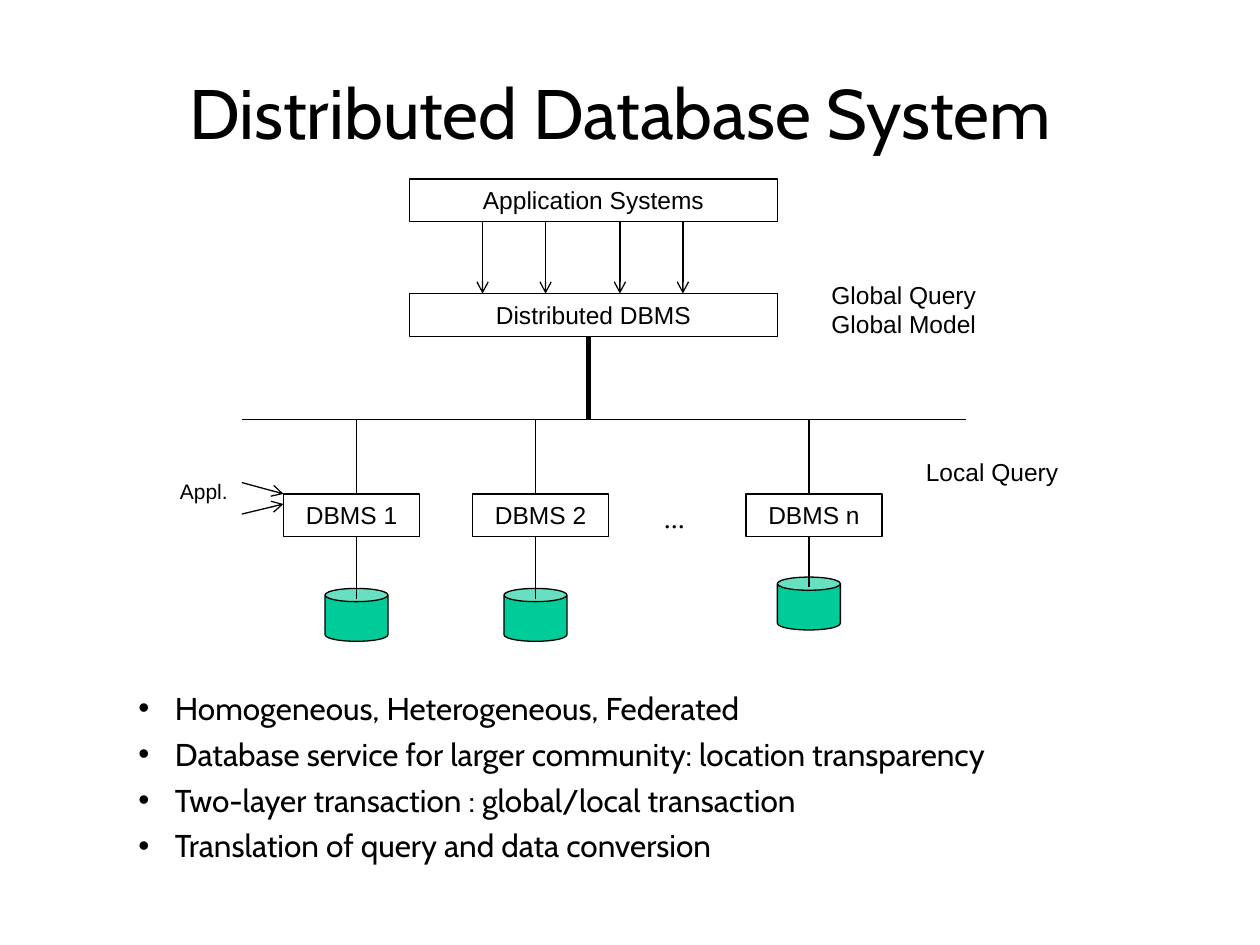
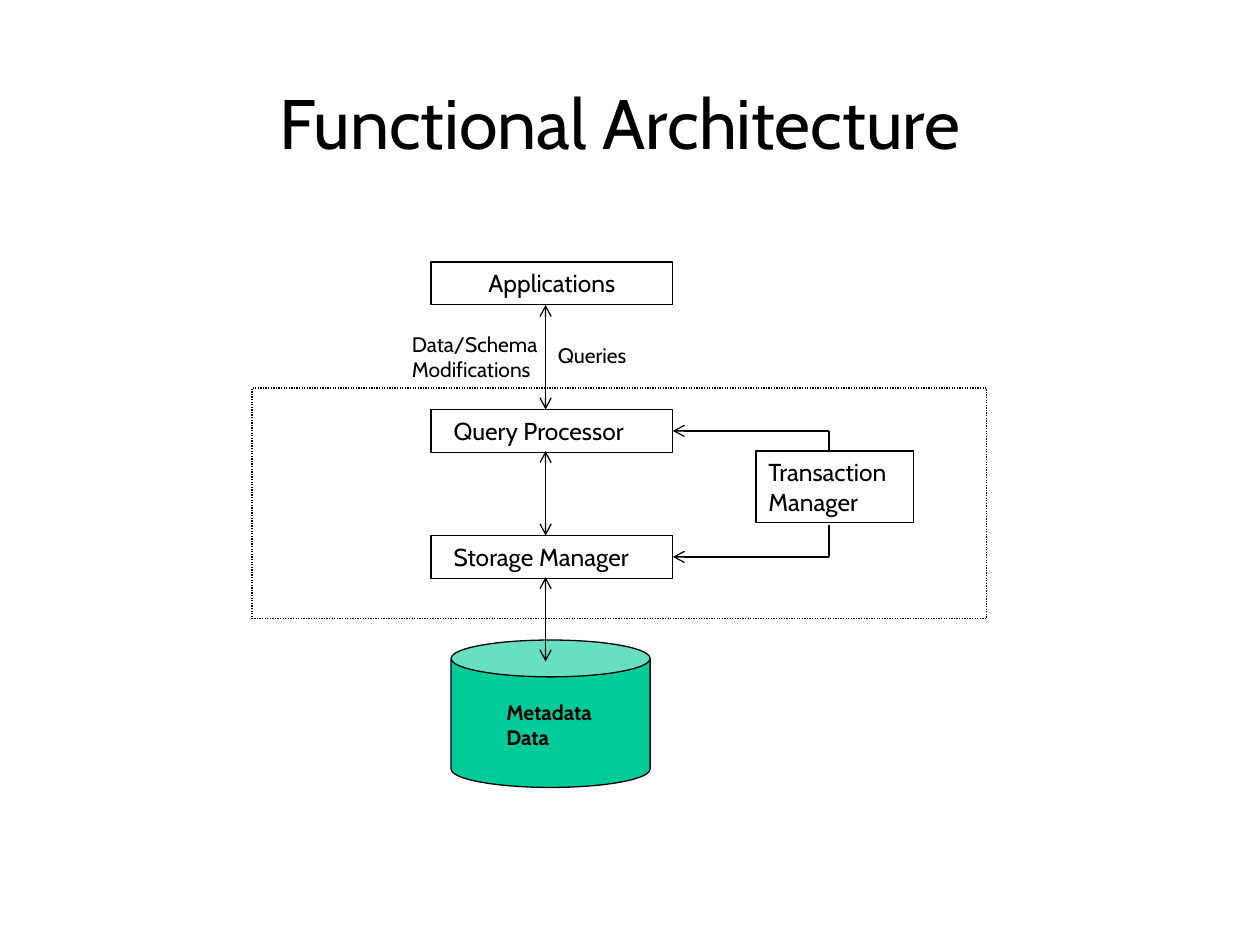
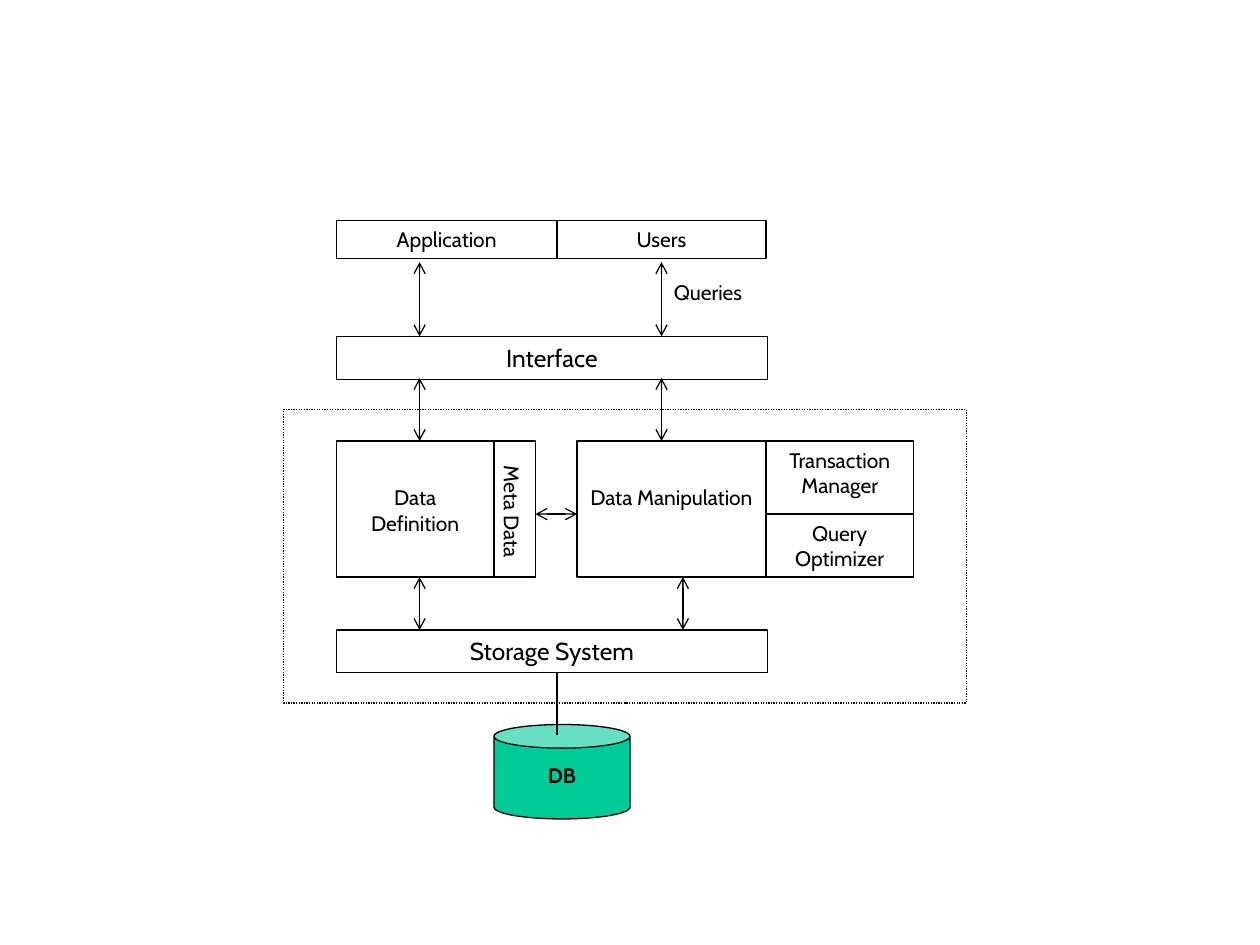
"""Build three slides on distributed database and DBMS architecture."""
from dataclasses import dataclass

from pptx import Presentation
from pptx.dml.color import RGBColor
from pptx.enum.dml import MSO_LINE
from pptx.enum.shapes import MSO_CONNECTOR, MSO_SHAPE
from pptx.enum.text import MSO_ANCHOR, PP_ALIGN
from pptx.oxml.ns import qn
from pptx.util import Inches, Pt
from lxml import etree

RECT, CAN = MSO_SHAPE.RECTANGLE, MSO_SHAPE.CAN
STRAIGHT = MSO_CONNECTOR.STRAIGHT
DOTTED = MSO_LINE.ROUND_DOT
LEFT, CENTER = PP_ALIGN.LEFT, PP_ALIGN.CENTER
TOP = MSO_ANCHOR.TOP
RIGHT_SIDE = 3
BOX_H = 0.34


@dataclass(frozen=True)
class Theme:
    ink: RGBColor = RGBColor(0x00, 0x00, 0x00)
    store: RGBColor = RGBColor(0x00, 0xCC, 0x99)
    font: str = "Cabin"
    sans: str = "Arial"
    serif: str = "Times New Roman"
    title: int = 40
    body: int = 18
    dots: int = 16
    box: int = 14
    label: int = 12
    thin: float = 0.75
    thick: float = 3


class Deck:
    def __init__(self, theme):
        self.theme = theme
        self.prs = Presentation()
        self.prs.slide_width = Inches(10)
        self.prs.slide_height = Inches(7.5)
        self.s = None

    def slide(self):
        self.s = self.prs.slides.add_slide(self.prs.slide_layouts[6])

    def add_run(self, p, text, size, font=None, bold=False):
        r = p.add_run()
        r.text = text
        r.font.size = Pt(size)
        r.font.name = font or self.theme.font
        r.font.bold = bold
        r.font.color.rgb = self.theme.ink

    def fill_frame(self, sp, text, size, align, font=None, bold=False, indent=0):
        tf = sp.text_frame
        tf.word_wrap = True
        tf.vertical_anchor = TOP
        tf.margin_left = Inches(0.1 + indent)
        p = tf.paragraphs[0]
        p.alignment = align
        self.add_run(p, text, size, font, bold)

    def text(self, x, y, w, h, text, size=None, align=LEFT, font=None, bold=False):
        sp = self.s.shapes.add_textbox(Inches(x), Inches(y), Inches(w), Inches(h))
        self.fill_frame(sp, text, size or self.theme.label, align, font, bold)
        return sp

    def title(self, y, text):
        self.text(0.92, y, 8, 0.77, text, self.theme.title, CENTER)

    def bullets(self, x, y, w, h, items):
        tf = self.s.shapes.add_textbox(Inches(x), Inches(y), Inches(w), Inches(h)).text_frame
        tf.word_wrap = True
        for i, item in enumerate(items):
            p = tf.add_paragraph() if i else tf.paragraphs[0]
            p.space_before = Pt(4.5)
            pPr = p._p.get_or_add_pPr()
            pPr.set("marL", str(Inches(0.29)))
            pPr.set("indent", str(-Inches(0.29)))
            etree.SubElement(pPr, qn("a:buFont"), typeface=self.theme.sans)
            etree.SubElement(pPr, qn("a:buChar"), char="•")
            self.add_run(p, item, self.theme.body)

    def shape(self, kind, x, y, w, h):
        sp = self.s.shapes.add_shape(kind, Inches(x), Inches(y), Inches(w), Inches(h))
        sp.shadow.inherit = False
        sp.fill.background()
        sp.line.color.rgb = self.theme.ink
        sp.line.width = Pt(self.theme.thin)
        return sp

    def box(self, x, y, w, h=BOX_H, text=None, size=None, align=CENTER, font=None, indent=0):
        sp = self.shape(RECT, x, y, w, h)
        if text:
            self.fill_frame(sp, text, size or self.theme.box, align, font, indent=indent)
        return sp

    def boundary(self, x, y, w, h):
        self.box(x, y, w, h).line.dash_style = DOTTED

    def can(self, x, y, w, h):
        sp = self.shape(CAN, x, y, w, h)
        sp.adjustments[0] = 0.25
        sp.fill.solid()
        sp.fill.fore_color.rgb = self.theme.store

    def line(self, x1, y1, x2, y2, head=False, tail=False, width=None):
        c = self.s.shapes.add_connector(STRAIGHT, Inches(x1), Inches(y1), Inches(x2), Inches(y2))
        c.line.color.rgb = self.theme.ink
        c.line.width = Pt(width or self.theme.thin)
        ln = c.get_or_add_ln()
        for tag, shown in (("a:headEnd", head), ("a:tailEnd", tail)):
            if shown:
                etree.SubElement(ln, qn(tag), type="arrow")
        etree.SubElement(c._element.spPr, qn("a:effectLst"))
        return c

    def double_arrow(self, x1, y1, x2, y2):
        self.line(x1, y1, x2, y2, head=True, tail=True)


def distributed_system(d):
    t = d.theme
    d.slide()
    d.title(0.5, "Distributed Database System")

    for y, name in ((1.42, "Application Systems"), (2.33, "Distributed DBMS")):
        d.box(3.25, y, 2.92, text=name, font=t.sans)
    for x in (3.83, 4.33, 4.92, 5.42):
        d.line(x, 1.75, x, 2.33, tail=True)

    bus_y = 3.33
    d.line(4.67, 2.67, 4.67, bus_y, width=t.thick)
    d.line(1.92, bus_y, 7.67, bus_y)
    nodes = (("DBMS 1", 2.25, 2.83, 4.67), ("DBMS 2", 3.75, 4.25, 4.67), ("DBMS n", 5.92, 6.42, 4.58))
    for name, left, x, store_y in nodes:
        d.box(left, 3.92, 1.08, text=name, font=t.sans)
        d.can(x - 0.25, store_y, 0.5, 0.42)
        d.line(x, bus_y, x, 3.92)
        d.line(x, 4.25, x, store_y + 0.08)

    d.text(5.17, 3.92, 0.42, 0.37, "...", t.dots, font=t.serif)
    d.text(6.5, 2.17, 1.5, 0.57, "Global Query Global Model", t.box, font=t.sans)
    d.text(7.25, 3.58, 1.5, BOX_H, "Local Query", t.box, font=t.sans)
    d.text(1.33, 3.75, 0.6, 0.3, "Appl.", font=t.sans)
    for y1, y2 in ((3.83, 3.92), (4.08, 4)):
        d.line(1.92, y1, 2.25, y2, tail=True)

    d.bullets(1, 5.42, 8.42, 1.49, (
        "Homogeneous, Heterogeneous, Federated",
        "Database service for larger community: location transparency",
        "Two-layer transaction : global/local transaction",
        "Translation of query and data conversion",
    ))


def functional_architecture(d):
    d.slide()
    d.title(0.58, "Functional Architecture")
    d.boundary(2, 3.08, 5.83, 1.83)
    d.can(3.58, 5.08, 1.58, 1.17)
    d.text(3.92, 5.5, 1, 0.5, "Metadata Data", bold=True)

    d.box(3.42, 2.08, 1.92, text="Applications")
    d.box(6, 3.58, 1.25, 0.57, "Transaction Manager", align=LEFT)
    managed = (("Query Processor", 3.25, 3.58), ("Storage Manager", 4.25, 4.17))
    for name, y, manager_y in managed:
        sp = d.box(3.42, y, 1.92, text=name, align=LEFT, indent=0.08)
        mid = y + BOX_H / 2
        d.line(5.34, mid, 6.58, mid, head=True).begin_connect(sp, RIGHT_SIDE)
        d.line(6.58, mid, 6.58, manager_y)

    for y1, y2 in ((2.42, 3.25), (3.58, 4.25), (4.58, 5.25)):
        d.double_arrow(4.33, y1, 4.33, y2)
    d.text(3.17, 2.58, 1.25, 0.7, "Data/Schema Modifications")
    d.text(4.33, 2.67, 0.83, 0.3, "Queries")


def component_architecture(d):
    t = d.theme
    d.slide()
    d.boundary(2.25, 3.25, 5.42, 2.33)
    d.can(3.92, 5.75, 1.08, 0.75)
    d.text(4.17, 6, 0.58, 0.3, "DB", align=CENTER, bold=True)

    for x, w, name in ((2.67, 1.75, "Application"), (4.42, 1.66, "Users")):
        d.box(x, 1.75, w, 0.3, name, t.label)
    for y, name in ((2.67, "Interface"), (5, "Storage System")):
        d.box(2.67, y, 3.42, text=name)

    for x, w, name in ((2.67, 1.25, "Data Definition"), (4.58, 1.5, "Data Manipulation")):
        d.box(x, 3.5, w, 1.08)
        d.text(x, 3.8, w, 0.7, name, align=CENTER)
    for y, h, name in ((3.5, 0.58, "Transaction Manager"), (4.08, 0.5, "Query Optimizer")):
        d.box(6.08, y, 1.17, h, name, t.label)
    d.box(3.92, 3.5, 0.33, 1.08)
    d.text(3.52, 3.91, 1.09, 0.3, "Meta Data", align=CENTER).rotation = 90

    for x, y1, y2 in ((3.33, 2.08, 2.67), (5.25, 2.08, 2.67), (3.33, 3, 3.5),
                      (5.25, 3, 3.5), (3.33, 4.58, 5), (5.42, 4.58, 5)):
        d.double_arrow(x, y1, x, y2)
    d.double_arrow(4.25, 4.08, 4.58, 4.08)
    d.line(4.42, 5.33, 4.42, 5.83)
    d.text(5.25, 2.17, 0.83, 0.3, "Queries")


def main():
    d = Deck(Theme())
    distributed_system(d)
    functional_architecture(d)
    component_architecture(d)
    d.prs.save("out.pptx")


if __name__ == "__main__":
    main()
